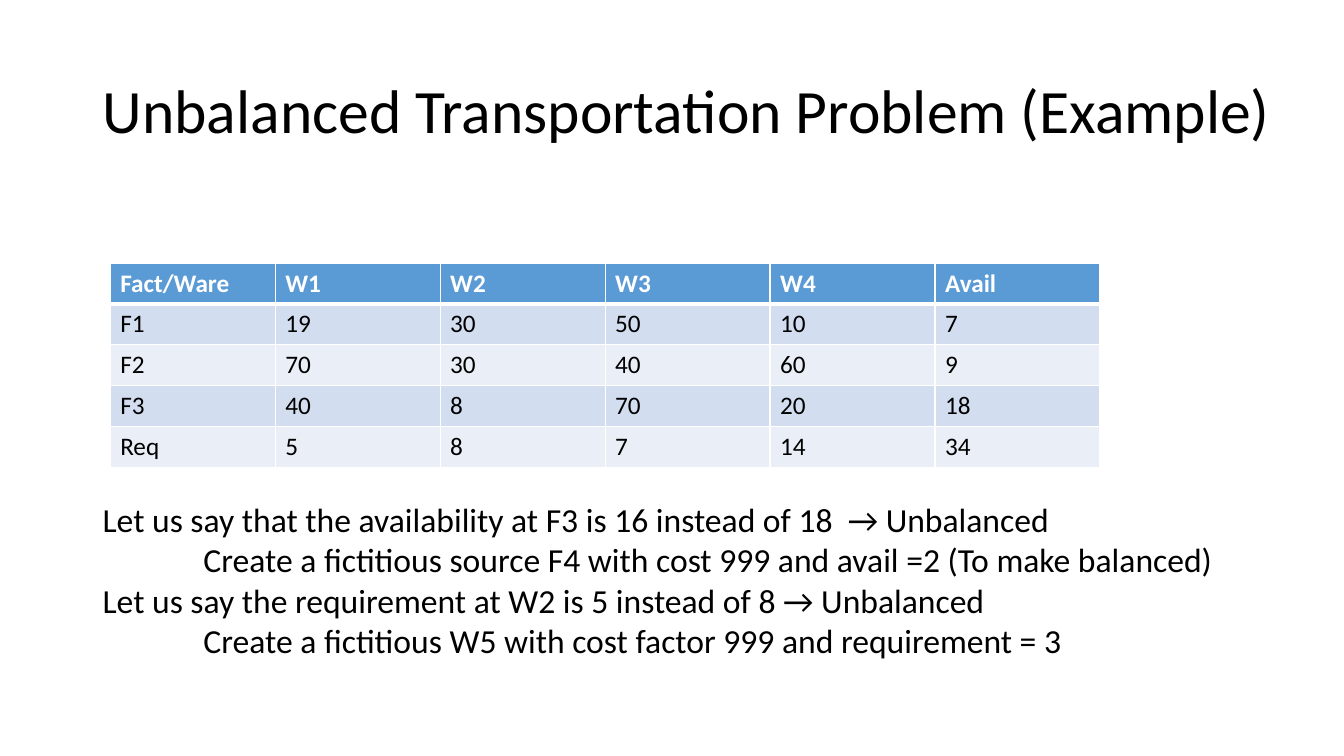
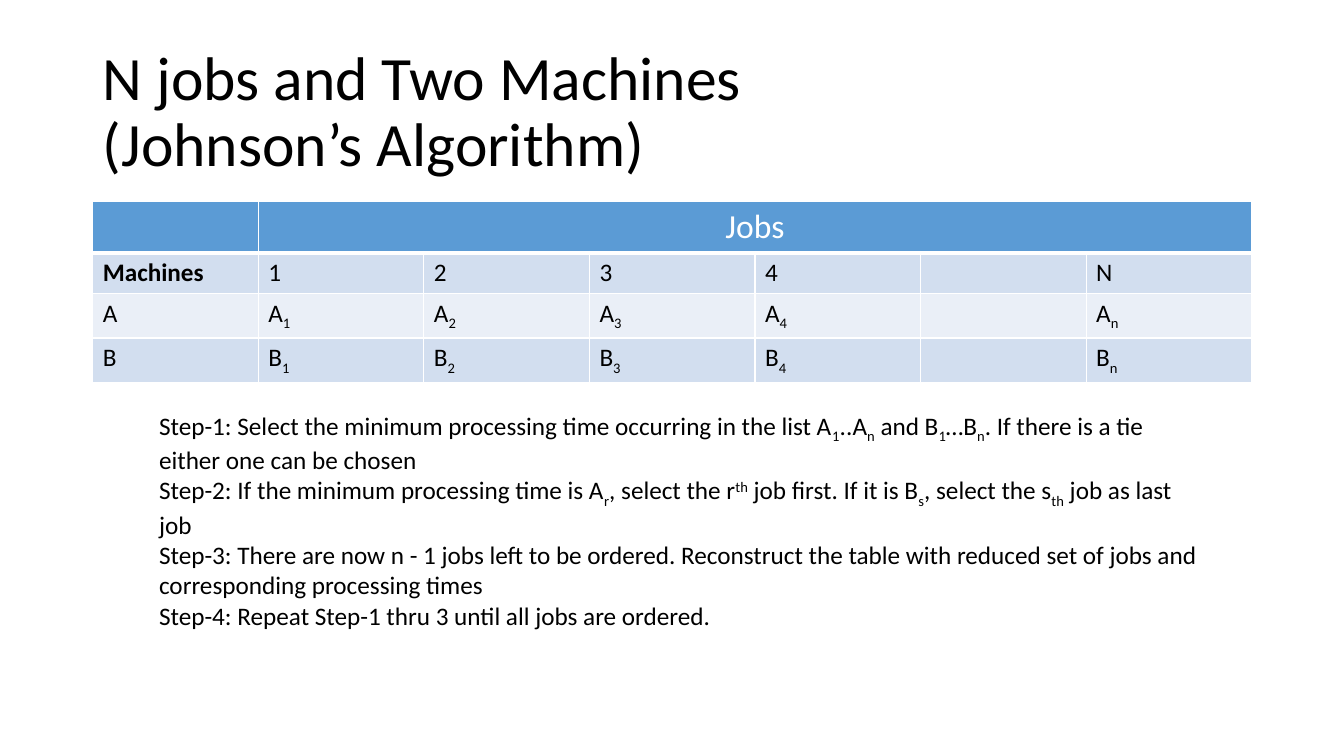
from lxml import etree
from pptx import Presentation
from pptx.dml.color import RGBColor
from pptx.enum.text import MSO_ANCHOR, MSO_AUTO_SIZE, PP_ALIGN
from pptx.oxml.ns import qn
from pptx.util import Inches, Pt

LEFT, CENTER = PP_ALIGN.LEFT, PP_ALIGN.CENTER
MIDDLE = MSO_ANCHOR.MIDDLE
NO_FIT = MSO_AUTO_SIZE.NONE

FONT = "Calibri"
BLACK, WHITE = "000000", "FFFFFF"
HEADER = "5B9BD5"
BANDS = ("D2DEEF", "EAEFF7")
BASELINES = {"_": "-25000", "^": "30000"}
GRID = 100
MARGIN = 6.9
TITLE_TOP, TITLE_HEIGHT = 5.33, 19.33
CONTENT_WIDTH = 86.25


def color(value):
    return RGBColor.from_string(value)


def write(para, text, size=18, ink=BLACK, bold=False, align=LEFT, spacing=None, indent=0):
    """Bars split the text; a part led by _ is lowered, one led by ^ raised."""
    para.alignment = align
    if spacing:
        para.line_spacing = spacing
    if indent:
        para._p.get_or_add_pPr().set("marL", str(Inches(indent)))
    for part in text.split("|"):
        if part == "\n":
            para.add_line_break()
            continue
        baseline = BASELINES.get(part[:1])
        span = para.add_run()
        span.text = part[1:] if baseline else part
        span.font.name, span.font.size, span.font.bold = FONT, Pt(size), bold
        span.font.color.rgb = color(ink)
        if baseline:
            span._r.get_or_add_rPr().set("baseline", baseline)


def add_borders(cell, top=1, bottom=1):
    properties = cell._tc.get_or_add_tcPr()
    for side, width in (("L", 1), ("R", 1), ("T", top), ("B", bottom)):
        line = etree.SubElement(properties, qn(f"a:ln{side}"), w=str(Pt(width)))
        fill = etree.SubElement(line, qn("a:solidFill"))
        etree.SubElement(fill, qn("a:srgbClr"), val=WHITE)


class SlideBuilder:
    def __init__(self, deck):
        self.deck = deck
        self.page = None

    def frame(self, left, top, width, height):
        column = self.deck.slide_width / GRID
        row = self.deck.slide_height / GRID
        return [round(n) for n in (left * column, top * row, width * column, height * row)]

    def start(self, text, width=CONTENT_WIDTH):
        self.page = self.deck.slides.add_slide(self.deck.slide_layouts[5])
        title = self.page.shapes.title
        title.left, title.top, title.width, title.height = self.frame(
            MARGIN, TITLE_TOP, width, TITLE_HEIGHT)
        body = title.text_frame
        body.auto_size, body.vertical_anchor, body.word_wrap = NO_FIT, MIDDLE, True
        write(body.paragraphs[0], text, size=44, spacing=0.9)

    def table(self, rows, left, top, width, heights):
        area = self.frame(left, top, width, sum(heights))
        table = self.page.shapes.add_table(len(rows), len(rows[0]), *area).table
        for row, height in zip(table.rows, heights):
            row.height = self.frame(0, 0, 0, height)[3]
        for y, texts in enumerate(rows):
            for x, text in enumerate(texts):
                cell = table.cell(y, x)
                add_borders(cell, top=3 if y == 1 else 1, bottom=1 if y else 3)
                cell.fill.solid()
                cell.fill.fore_color.rgb = color(BANDS[(y - 1) % 2] if y else HEADER)
                if text:
                    write(cell.text_frame.paragraphs[0], text,
                          ink=BLACK if y else WHITE, bold=not y)
        return table

    def text(self, lines, left, top, width, height, size=18):
        body = self.page.shapes.add_textbox(*self.frame(left, top, width, height)).text_frame
        body.word_wrap = True
        for number, (line, indent) in enumerate(lines):
            para = body.add_paragraph() if number else body.paragraphs[0]
            write(para, line, size=size, indent=indent)


def transportation(builder):
    builder.start("Unbalanced Transportation Problem (Example)", width=89.63)
    builder.table([
        ["Fact/Ware", "W1", "W2", "W3", "W4", "Avail"],
        ["F1", "19", "30", "50", "10", "7"],
        ["F2", "70", "30", "40", "60", "9"],
        ["F3", "40", "8", "70", "20", "18"],
        ["Req", "5", "8", "7", "14", "34"],
    ], 8.2, 34.8, 73.65, [5.2] + [5.4] * 4)
    builder.text([
        ("Let us say that the availability at F3 is 16 instead of 18  → Unbalanced", 0),
        ("Create a fictitious source F4 with cost 999 and avail =2 (To make balanced)", 1),
        ("Let us say the requirement at W2 is 5 instead of 8 → Unbalanced", 0),
        ("Create a fictitious W5 with cost factor 999 and requirement = 3", 1),
    ], MARGIN, 65.33, 85.65, 22.93, size=24)


def two_machines(builder):
    builder.start("N jobs and Two Machines |\n|(Johnson’s Algorithm)")
    jobs = ["1", "2", "3", "4", "", "N"]
    times = [[name] + [f"{name}|_{job.lower()}" if job else "" for job in jobs]
             for name in "AB"]
    table = builder.table(
        [[""] * 7, ["Machines"] + jobs] + times,
        MARGIN, 26.67, CONTENT_WIDTH, [6.6, 5.4, 5.8, 5.8])
    heading = table.cell(0, 1)
    heading.merge(table.cell(0, 6))
    write(heading.text_frame.paragraphs[0], "Jobs", size=24, ink=WHITE, align=CENTER)
    table.cell(1, 0).text_frame.paragraphs[0].runs[0].font.bold = True
    steps = [
        "Step-1: Select the minimum processing time occurring in the list "
        "A|_1|..A|_n| and B|_1|…B|_n|. If there is a tie either one can be chosen",
        "Step-2: If the minimum processing time is A|_r|, select the r|^th| job first. "
        "If it is B|_s|, select the s|_th| job as last job",
        "Step-3: There are now n - 1 jobs left to be ordered. Reconstruct the table "
        "with reduced set of jobs and corresponding processing times",
        "Step-4: Repeat Step-1 thru 3 until all jobs are ordered.",
    ]
    builder.text([(step, 0) for step in steps], 11.1, 53.6, 79, 33.6)


def main():
    deck = Presentation()
    deck.slide_width, deck.slide_height = Inches(13.33), Inches(7.5)
    builder = SlideBuilder(deck)
    transportation(builder)
    two_machines(builder)
    deck.save("out.pptx")


if __name__ == "__main__":
    main()
